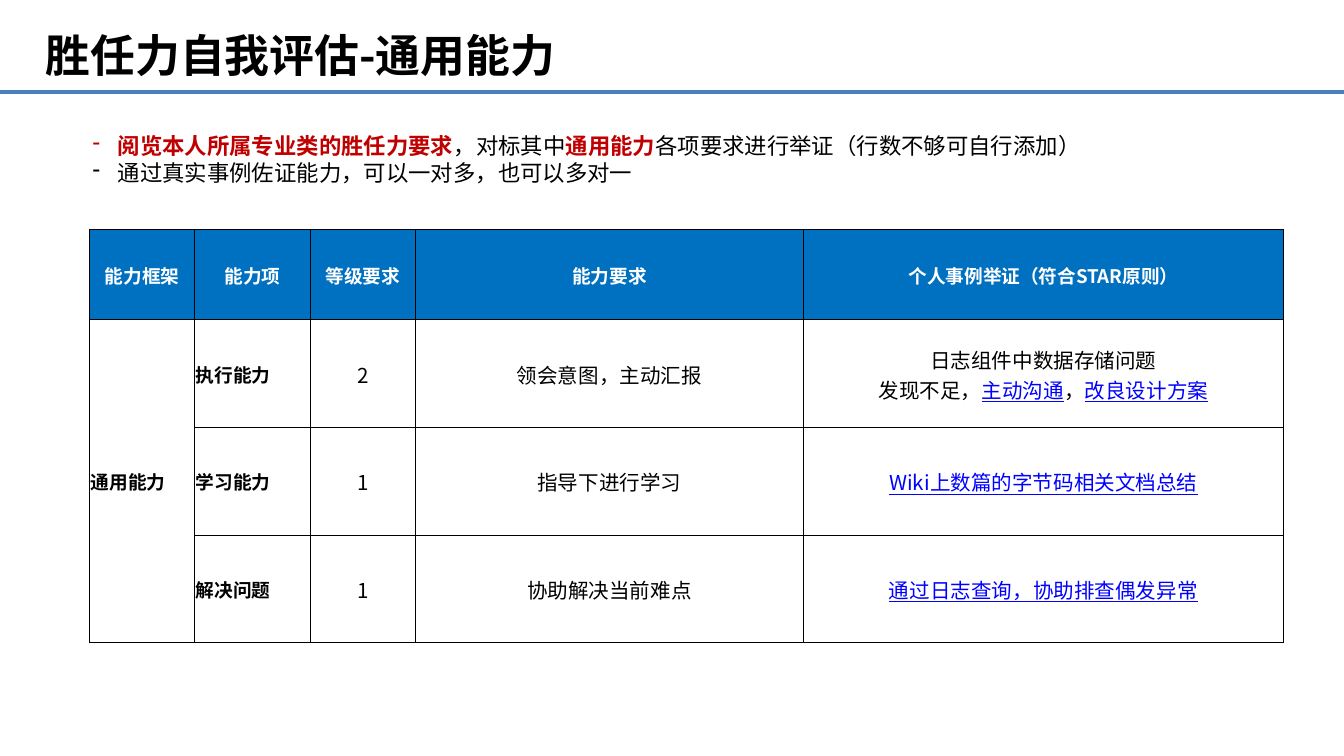
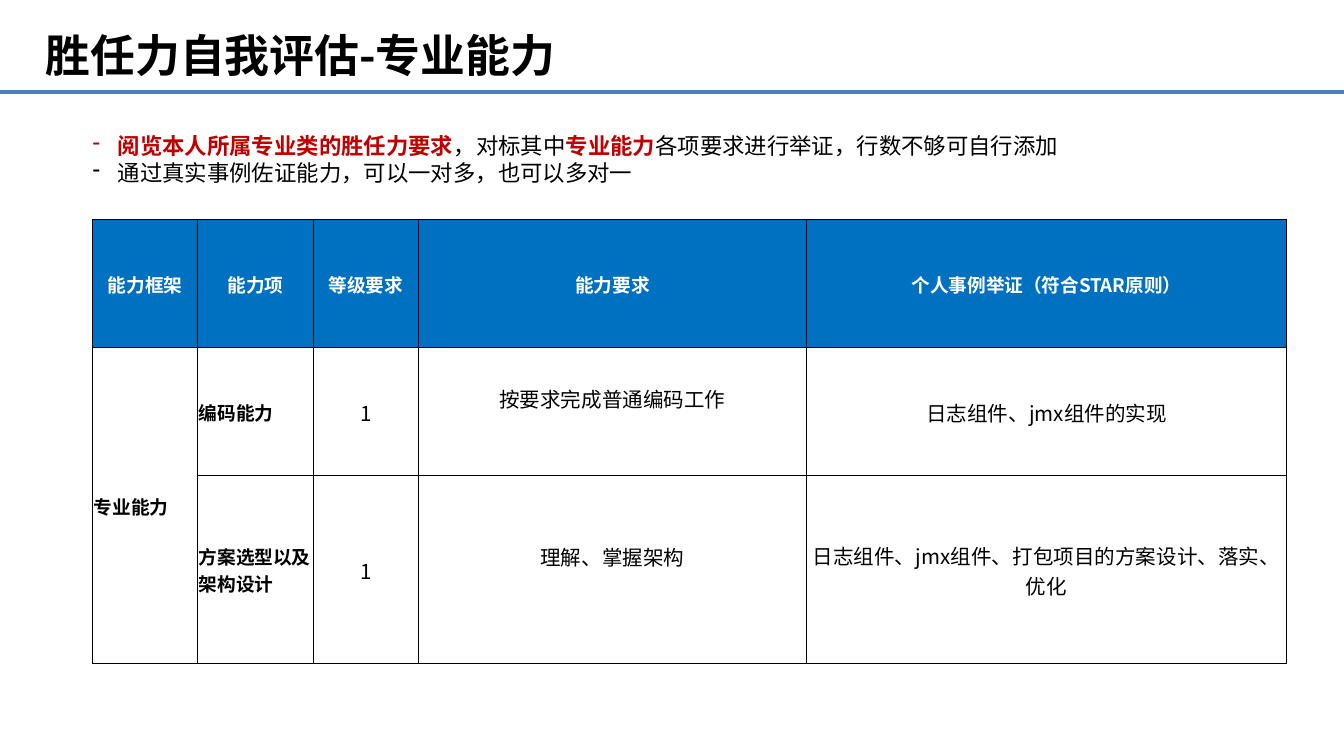
from dataclasses import dataclass

from lxml import etree
from pptx import Presentation
from pptx.dml.color import RGBColor
from pptx.enum.shapes import MSO_CONNECTOR
from pptx.enum.text import MSO_ANCHOR, MSO_AUTO_SIZE, PP_ALIGN
from pptx.oxml.ns import qn
from pptx.util import Pt

# Shared look
FONT = "Noto Sans CJK SC"
BLACK = RGBColor(0x00, 0x00, 0x00)
WHITE = RGBColor(0xFF, 0xFF, 0xFF)
RED = RGBColor(0xC0, 0x00, 0x00)
LINK_BLUE = RGBColor(0x00, 0x00, 0xFF)
HEADER_BLUE = RGBColor(0x00, 0x70, 0xC0)
RULE_BLUE = RGBColor(0x4B, 0x7E, 0xBC)
LEFT, CENTER = PP_ALIGN.LEFT, PP_ALIGN.CENTER
TOP, MIDDLE = MSO_ANCHOR.TOP, MSO_ANCHOR.MIDDLE
GROW = MSO_AUTO_SIZE.SHAPE_TO_FIT_TEXT
STRAIGHT = MSO_CONNECTOR.STRAIGHT

# Text styles: size, weight and underline, then colour
STYLES = {
    "title": ({"size": Pt(24), "bold": True}, BLACK),
    "note": ({"size": Pt(12), "bold": False}, BLACK),
    "key": ({"size": Pt(12), "bold": True}, RED),
    "header": ({"size": Pt(10), "bold": True}, WHITE),
    "name": ({"size": Pt(10), "bold": True}, BLACK),
    "body": ({"size": Pt(11), "bold": False}, BLACK),
    "link": ({"size": Pt(11), "bold": False, "underline": True}, LINK_BLUE),
}
HEADINGS = ("能力框架", "能力项", "等级要求", "能力要求", "个人事例举证（符合STAR原则）")
COL_WIDTHS = (56.3, 61.9, 56.3, 208.1, 257)
NAME_COLS = 2
BORDER_SIDES = ("lnL", "lnR", "lnT", "lnB")


@dataclass(frozen=True)
class Span:
    text: str
    style: str = "body"


Line = tuple[Span, ...]


@dataclass(frozen=True)
class Ability:
    name: str
    level: int
    requirement: str
    evidence: tuple[Line, ...]
    lift: float = 0  # extra bottom margin under the requirement


@dataclass(frozen=True)
class Assessment:
    framework: str
    hint: str
    left: float
    top: float
    row_heights: tuple[float, ...]
    abilities: tuple[Ability, ...]


ASSESSMENTS = (
    Assessment(
        "通用能力", "各项要求进行举证（行数不够可自行添加）",
        48, 123.1, (48.2, 57.7, 57.7, 57.7),
        (
            Ability("执行能力", 2, "领会意图，主动汇报", (
                (Span("日志组件中数据存储问题"),),
                (Span("发现不足，"), Span("主动沟通", "link"),
                 Span("，"), Span("改良设计方案", "link")),
            )),
            Ability("学习能力", 1, "指导下进行学习",
                    ((Span("Wiki上数篇的字节码相关文档总结", "link"),),)),
            Ability("解决问题", 1, "协助解决当前难点",
                    ((Span("通过日志查询，协助排查偶发异常", "link"),),)),
        ),
    ),
    Assessment(
        "专业能力", "各项要求进行举证，行数不够可自行添加",
        49.6, 117.6, (68.6, 68.6, 100.8),
        (
            Ability("编码能力", 1, "按要求完成普通编码工作",
                    ((Span("日志组件、jmx组件的实现"),),), lift=15),
            Ability("方案选型以及架构设计", 1, "理解、掌握架构",
                    ((Span("日志组件、jmx组件、打包项目的方案设计、落实、优化"),),), lift=15),
        ),
    ),
)


def set_format(target, values: dict) -> None:
    for name, value in values.items():
        setattr(target, name, value)


def write_lines(tf, lines: tuple[Line, ...], align=LEFT) -> None:
    for i, line in enumerate(lines):
        p = tf.paragraphs[0] if i == 0 else tf.add_paragraph()
        p.alignment = align
        for span in line:
            r = p.add_run()
            r.text = span.text
            values, color = STYLES[span.style]
            set_format(r.font, {"name": FONT, **values})
            r.font.color.rgb = color
            ea = etree.SubElement(r.font._element, qn("a:ea"))
            ea.set("typeface", FONT)


def format_box(sp, left: float, top: float, width: float, line_height: float) -> None:
    set_format(sp, {"left": Pt(left), "top": Pt(top), "width": Pt(width), "height": Pt(36)})
    set_format(sp.text_frame, {
        "word_wrap": True, "auto_size": GROW, "vertical_anchor": TOP,
        "margin_left": Pt(7.2), "margin_right": Pt(7.2),
        "margin_top": Pt(4.6), "margin_bottom": Pt(2.6),
    })
    for p in sp.text_frame.paragraphs:
        set_format(p, {"line_spacing": Pt(line_height), "space_before": Pt(0)})


def add_heading(s, framework: str) -> None:
    sp = s.shapes.title
    write_lines(sp.text_frame, ((Span(f"胜任力自我评估-{framework}", "title"),),))
    format_box(sp, 17.3, 10.1, 360, 28.8)
    rule = s.shapes.add_connector(STRAIGHT, Pt(0), Pt(49.5), Pt(720), Pt(49.5))
    rule.line.color.rgb = RULE_BLUE
    rule.line.width = Pt(2.25)
    etree.SubElement(rule._element.spPr, qn("a:effectLst"))


def add_notes_list(s, a: Assessment) -> None:
    sp = s.shapes.add_textbox(Pt(0), Pt(0), Pt(0), Pt(0))
    write_lines(sp.text_frame, (
        (Span("阅览本人所属专业类的胜任力要求", "key"), Span("，对标其中", "note"),
         Span(a.framework, "key"), Span(a.hint, "note")),
        (Span("通过真实事例佐证能力，可以一对多，也可以多对一", "note"),),
    ))
    format_box(sp, 42.5, 66.2, 555.8, 14.4)
    for p in sp.text_frame.paragraphs:
        pPr = p._p.get_or_add_pPr()
        pPr.set("marL", str(Pt(13.5)))
        pPr.set("indent", str(-Pt(13.5)))
        etree.SubElement(pPr, qn("a:buChar")).set("char", "-")


def add_borders(cell) -> None:
    tcPr = cell._tc.get_or_add_tcPr()
    for i, side in enumerate(BORDER_SIDES):
        ln = etree.Element(qn(f"a:{side}"), w=str(Pt(0.5)))
        fill = etree.SubElement(ln, qn("a:solidFill"))
        etree.SubElement(fill, qn("a:srgbClr")).set("val", str(BLACK))
        tcPr.insert(i, ln)


def fill_cell(cell, lines: tuple[Line, ...], align, lift: float = 0) -> None:
    set_format(cell, {
        "vertical_anchor": MIDDLE, "margin_left": Pt(0.7), "margin_right": Pt(0.7),
        "margin_top": Pt(0.7), "margin_bottom": Pt(lift),
    })
    write_lines(cell.text_frame, lines, align)


def add_ability_table(s, a: Assessment) -> None:
    frame = s.shapes.add_table(
        len(a.row_heights), len(COL_WIDTHS), Pt(a.left), Pt(a.top),
        Pt(sum(COL_WIDTHS)), Pt(sum(a.row_heights)))
    table = frame.table
    set_format(table, {"first_row": False, "horz_banding": False})
    for col, width in zip(table.columns, COL_WIDTHS):
        col.width = Pt(width)
    for row, height in zip(table.rows, a.row_heights):
        row.height = Pt(height)

    # Header row
    for c, heading in enumerate(HEADINGS):
        fill_cell(table.cell(0, c), ((Span(heading, "header"),),), CENTER)

    # Framework cell spans all abilities
    table.cell(1, 0).merge(table.cell(len(a.abilities), 0))
    fill_cell(table.cell(1, 0), ((Span(a.framework, "name"),),), LEFT)
    for r, ability in enumerate(a.abilities, 1):
        columns = (
            ((Span(ability.name, "name"),),),
            ((Span(str(ability.level)),),),
            ((Span(ability.requirement),),),
            ability.evidence,
        )
        for c, lines in enumerate(columns, 1):
            fill_cell(table.cell(r, c), lines, LEFT if c < NAME_COLS else CENTER,
                      ability.lift if c == 3 else 0)

    # Fills and borders
    for r, row in enumerate(table.rows):
        for cell in row.cells:
            cell.fill.solid()
            cell.fill.fore_color.rgb = HEADER_BLUE if r == 0 else WHITE
            add_borders(cell)


def main() -> None:
    prs = Presentation()
    set_format(prs, {"slide_width": Pt(720), "slide_height": Pt(405)})
    title_only = prs.slide_layouts[5]
    for a in ASSESSMENTS:
        s = prs.slides.add_slide(title_only)
        add_heading(s, a.framework)
        add_notes_list(s, a)
        add_ability_table(s, a)
    prs.save("out.pptx")


if __name__ == "__main__":
    main()
